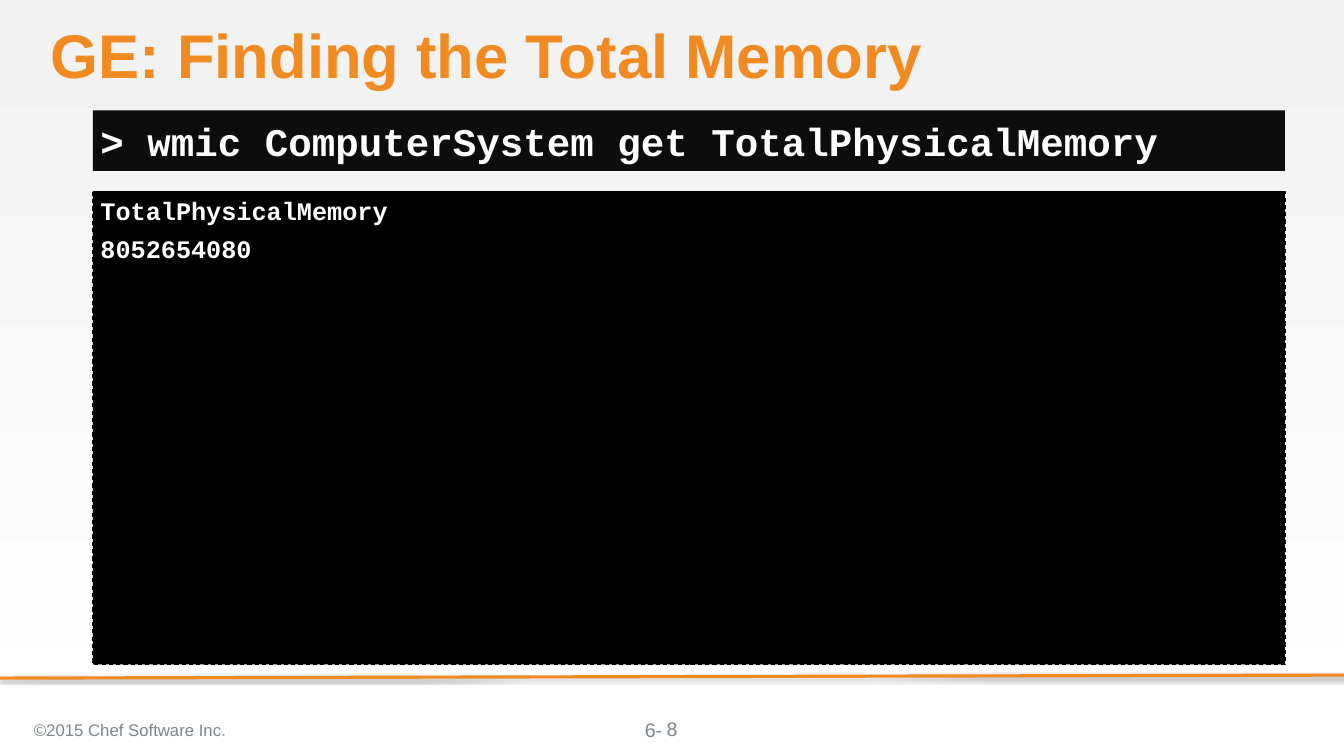
from lxml.etree import SubElement
from pptx import Presentation
from pptx.dml.color import RGBColor
from pptx.enum.dml import MSO_LINE_DASH_STYLE as Dash
from pptx.enum.shapes import MSO_CONNECTOR as Connector, MSO_SHAPE as Shape
from pptx.enum.text import MSO_ANCHOR as Anchor, PP_ALIGN as Align
from pptx.oxml.ns import qn
from pptx.util import Inches, Pt

ORANGE, GREY, WHITE, BLACK = "F18B21", "7D868C", "FFFFFF", "000000"
TITLE = {"name": "Arial", "size": Pt(58.7), "bold": True, "color": ORANGE}
COMMAND = {"name": "Courier New", "size": Pt(37.3), "bold": True, "color": WHITE}
OUTPUT = COMMAND | {"size": Pt(24)}
NUMBER = {"name": "Arial", "size": Pt(18.7), "color": GREY}
COPYRIGHT = NUMBER | {"size": Pt(16)}
INSETS = (0.1, 0.05, 0.1, 0.05)
PANEL_LEFT, PANEL_WIDTH = 1.23, 15.77


def rgb(value):
    return RGBColor.from_string(value)


def set_font(font, style):
    for key, value in style.items():
        if key == "color":
            font.color.rgb = rgb(value)
        else:
            setattr(font, key, value)


def write(box, lines, style, insets=INSETS, anchor=Anchor.TOP, **para_format):
    """Fill a box with paragraphs; each line is a list of (text, style changes)."""
    frame = box.text_frame
    frame.word_wrap = True
    frame.vertical_anchor = anchor
    for side, inset in zip(("left", "top", "right", "bottom"), insets):
        setattr(frame, f"margin_{side}", Inches(inset))
    for index, spans in enumerate(lines):
        para = frame.add_paragraph() if index else frame.paragraphs[0]
        para.alignment = Align.LEFT
        if index:
            para.space_before = Pt(8)
        for key, value in para_format.items():
            setattr(para, key, value)
        for text, changes in spans:
            span = para.add_run()
            span.text = text
            set_font(span.font, style | changes)


def add_text(page, place, lines, style, **options):
    box = page.shapes.add_textbox(*map(Inches, place))
    write(box, lines, style, **options)


def add_panel(page, top, height, fill, lines, style, dashed=False, **options):
    """Add a dark terminal panel."""
    place = (PANEL_LEFT, top, PANEL_WIDTH, height)
    panel = page.shapes.add_shape(Shape.RECTANGLE, *map(Inches, place))
    panel.shadow.inherit = False
    panel.fill.solid()
    panel.fill.fore_color.rgb = rgb(fill)
    if dashed:
        panel.line.color.rgb = rgb(BLACK)
        panel.line.width = Pt(1)
        panel.line.dash_style = Dash.DASH
    else:
        panel.line.fill.background()
    write(panel, lines, style, **options)


def add_footer_rule(page):
    ends = (17.78, 8.93, 0, 8.97)
    rule = page.shapes.add_connector(Connector.STRAIGHT, *map(Inches, ends))
    rule.line.color.rgb = rgb(ORANGE)
    rule.line.width = Pt(3)
    effects = SubElement(rule._element.spPr, qn("a:effectLst"))
    shadow = SubElement(effects, qn("a:outerShdw"), blurRad=str(Pt(3.1)),
                        dist=str(Pt(1.8)), dir="5400000", rotWithShape="0")
    color = SubElement(shadow, qn("a:srgbClr"), val=BLACK)
    SubElement(color, qn("a:alpha"), val="35000")


def set_background(page):
    fill = page.background.fill
    fill.gradient()
    fill.gradient_angle = 270
    for stop, position, color in zip(fill.gradient_stops, (0, 1), ("F2F2F2", WHITE)):
        stop.position = position
        stop.color.rgb = rgb(color)


def main():
    deck = Presentation()
    deck.slide_width, deck.slide_height = Inches(17.78), Inches(10)
    page = deck.slides.add_slide(deck.slide_layouts[6])
    set_background(page)
    add_footer_rule(page)

    add_panel(page, 2.53, 6.26, BLACK,
              [[("TotalPhysicalMemory", {})], [("8052654080", {})]],
              OUTPUT, dashed=True)
    add_text(page, (0.67, 0.33, 16.33, 0.91),
             [[("GE: Finding the Total Memory", {})]], TITLE,
             insets=(0, 0, 0, 0), line_spacing=0.9)
    add_panel(page, 1.46, 0.8, "0D0D0D",
              [[("> wmic ComputerSystem get TotalPhysicalMemory", {})]], COMMAND,
              insets=(0.1, 0, 0, 0), anchor=Anchor.MIDDLE)

    add_text(page, (0.35, 9.38, 6.21, 0.56),
             [[("©2015 Chef Software Inc", {}), (".", {"color": "929494"})]],
             COPYRIGHT, anchor=Anchor.MIDDLE)
    add_text(page, (8.49, 9.49, 0.8, 0.31), [[("6-", {})]], NUMBER,
             insets=(0.04, 0, 0, 0))
    add_text(page, (6.89, 9.38, 4, 0.53), [[("8", {})]], NUMBER,
             anchor=Anchor.MIDDLE, alignment=Align.CENTER)
    deck.save("out.pptx")


if __name__ == "__main__":
    main()
